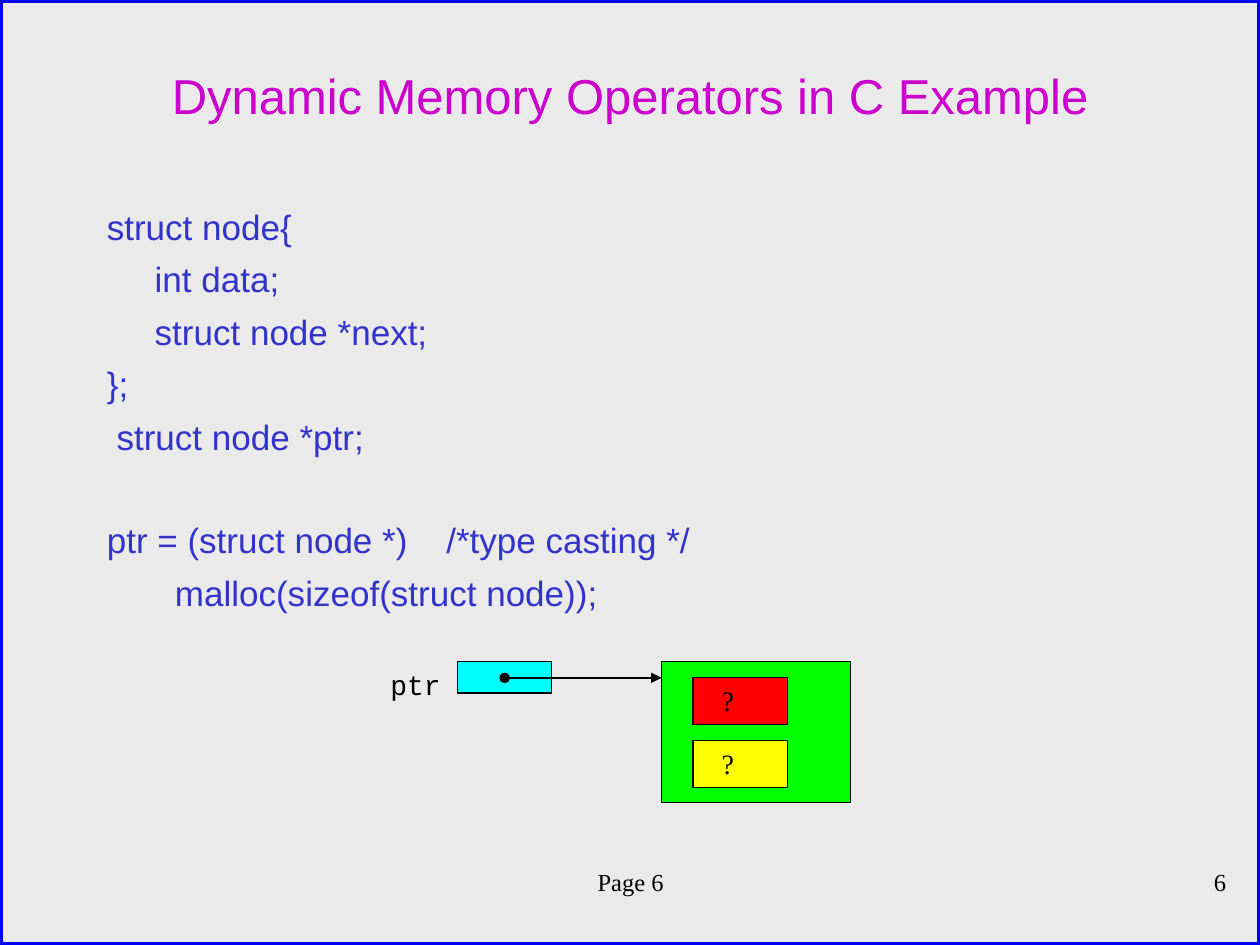
from dataclasses import dataclass

from lxml import etree
from pptx import Presentation
from pptx.dml.color import RGBColor
from pptx.enum import shapes, text
from pptx.oxml import ns
from pptx.util import Inches, Pt


@dataclass(frozen=True)
class Theme:
    background: str = "EAEAEA"
    border: str = "0000FF"
    ink: str = "000000"
    title: str = "CC00CC"
    code: str = "3333CC"
    pointer: str = "00FFFF"
    node: str = "00FF00"
    data: str = "FF0000"
    next: str = "FFFF00"
    sans: str = "Arial"
    serif: str = "Times New Roman"
    mono: str = "Courier New"
    title_size: int = 28
    code_size: int = 20
    label_size: int = 16
    footer_size: int = 14
    code_gap: int = 6
    line_width: float = 0.75
    border_width: float = 3


THEME = Theme()
WIDTH, HEIGHT = 10, 7.5
ALIGN = text.PP_ALIGN
CODE_INDENT = 0.38
BLANK_LINE = 29  # points
CODE_BLOCKS = [
    ["struct node{", "\tint data;", "\tstruct node *next;", "};", " struct node *ptr;"],
    ["ptr = (struct node *)    /*type casting */", "       malloc(sizeof(struct node));"],
]


def style(target, **values):
    for name, value in values.items():
        setattr(target, name, value)


def paint(part, color):
    part.solid()
    part.fore_color.rgb = RGBColor.from_string(color)


def add_text(slide, box, lines, font, size, color, align=ALIGN.LEFT,
             anchor=text.MSO_ANCHOR.TOP):
    """Add a text box with one paragraph per line and return its paragraphs."""
    frame = slide.shapes.add_textbox(*map(Inches, box)).text_frame
    style(frame, word_wrap=True, vertical_anchor=anchor)
    for index, line in enumerate(lines):
        paragraph = frame.paragraphs[0] if index == 0 else frame.add_paragraph()
        paragraph.alignment = align
        run = paragraph.add_run()
        run.text = line
        style(run.font, name=font, size=Pt(size))
        run.font.color.rgb = RGBColor.from_string(color)
    return frame.paragraphs


def add_box(slide, box, fill, line=THEME.ink, width=THEME.line_width):
    shape = slide.shapes.add_shape(shapes.MSO_SHAPE.RECTANGLE, *map(Inches, box))
    shape.shadow.inherit = False
    paint(shape.fill, fill)
    paint(shape.line.fill, line)
    shape.line.width = Pt(width)


def add_pointer_arrow(slide, start, end):
    connector = slide.shapes.add_connector(
        shapes.MSO_CONNECTOR.STRAIGHT, *map(Inches, start + end))
    paint(connector.line.fill, THEME.ink)
    connector.line.width = Pt(THEME.line_width)
    line = connector.line._get_or_add_ln()
    for tag, kind in (("a:headEnd", "oval"), ("a:tailEnd", "triangle")):
        etree.SubElement(line, ns.qn(tag), type=kind)
    etree.SubElement(connector._element.spPr, ns.qn("a:effectLst"))


def draw_background(slide, box):
    paint(slide.background.fill, THEME.background)
    add_box(slide, box, THEME.background, THEME.border, THEME.border_width)


def draw_title(slide, box):
    add_text(slide, box, ["Dynamic Memory Operators in C Example"], THEME.sans,
             THEME.title_size, THEME.title, ALIGN.CENTER, text.MSO_ANCHOR.MIDDLE)


def draw_code(slide, box):
    lines = [line for block in CODE_BLOCKS for line in block]
    block_starts = [block[0] for block in CODE_BLOCKS]
    paragraphs = add_text(slide, box, lines, THEME.sans, THEME.code_size, THEME.code)
    for index, paragraph in enumerate(paragraphs):
        properties = paragraph._p.get_or_add_pPr()
        properties.set("marL", str(Inches(CODE_INDENT)))
        properties.set("indent", str(-Inches(CODE_INDENT)))
        if index:
            extra = BLANK_LINE if lines[index] in block_starts else 0
            paragraph.space_before = Pt(THEME.code_gap + extra)


def draw_memory(slide, box):
    """Draw the pointer cell and the node that it points to."""
    left, top, width, height = box
    node_width, field_width, field_height = 1.5, 0.75, 0.37
    node_left = left + width - node_width
    pointer_left = left + 0.63
    arrow_y = top + 0.13

    add_box(slide, (pointer_left, top, field_width, 0.25), THEME.pointer)
    add_box(slide, (node_left, top, node_width, height), THEME.node)
    for index, fill in enumerate((THEME.data, THEME.next)):
        y = arrow_y + index * 0.5
        field_left = node_left + 0.25
        add_box(slide, (field_left, y, field_width, field_height), fill)
        add_text(slide, (field_left + 0.13, y, 0.5, field_height), ["?"],
                 THEME.serif, THEME.label_size, THEME.ink)
    add_pointer_arrow(slide, (pointer_left + field_width / 2, arrow_y),
                      (node_left, arrow_y))
    add_text(slide, (left, top, 0.88, 0.38), ["ptr"], THEME.mono,
             THEME.label_size, THEME.ink)


def draw_footer(slide, box):
    left, top, width, height = box
    number_width = 2.08
    entries = [
        ("Page 6", left, 8.67, ALIGN.CENTER),
        ("6", left + width - number_width, number_width, ALIGN.RIGHT),
    ]
    for label, x, label_width, align in entries:
        add_text(slide, (x, top, label_width, height), [label], THEME.serif,
                 THEME.footer_size, THEME.ink, align)


def main():
    presentation = Presentation()
    style(presentation, slide_width=Inches(WIDTH), slide_height=Inches(HEIGHT))
    slide = presentation.slides.add_slide(presentation.slide_layouts[6])
    draw_background(slide, (0, 0, WIDTH, HEIGHT))
    draw_footer(slide, (0.67, 6.83, 9.16, 0.5))
    draw_title(slide, (0.75, 0.42, 8.5, 0.67))
    draw_code(slide, (0.75, 1.58, 8.5, 5.42))
    draw_memory(slide, (3, 5.25, 3.75, 1.12))
    presentation.save("out.pptx")


if __name__ == "__main__":
    main()
